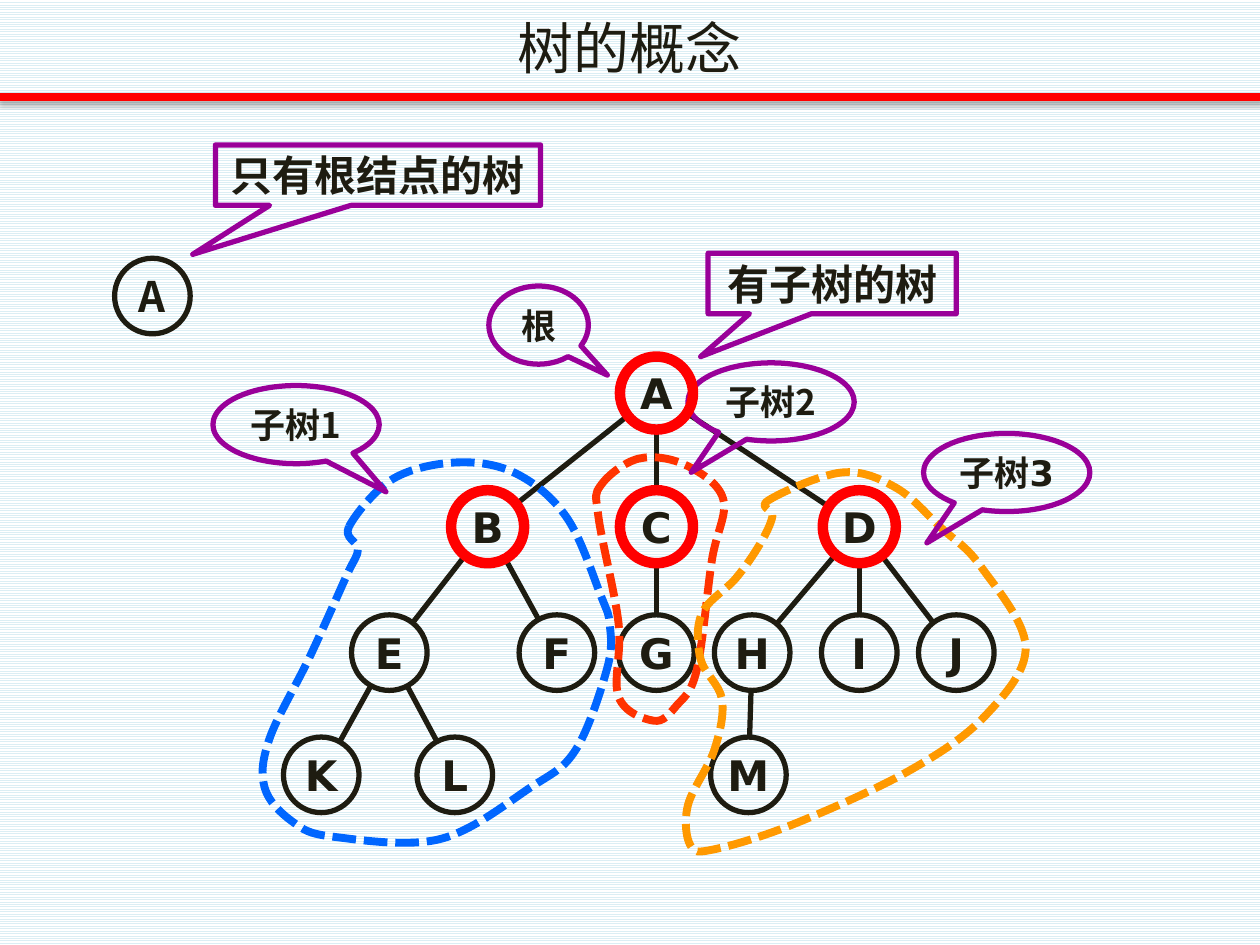
"""Builds a slide that explains the concept of a tree with its root and subtrees."""
from dataclasses import dataclass
from math import hypot

from lxml import etree
from pptx import Presentation
from pptx import util as u
from pptx.dml.color import RGBColor
from pptx.enum import dml, shapes, text
from pptx.oxml import parse_xml
from pptx.oxml.ns import nsdecls, qn


@dataclass(frozen=True)
class Theme:
    ink: str = "1E1C11"
    red: str = "FF0000"
    purple: str = "990099"
    blue: str = "0066FF"
    vermilion: str = "FF3300"
    orange: str = "FF9900"
    stripe: str = "DBEEF4"
    paper: str = "FFFFFF"
    cjk: str = "Noto Sans CJK SC"
    latin: str = "DejaVu Sans"
    title: int = 32
    label: int = 24
    note: int = 20
    thin: float = 3
    medium: float = 4.5
    thick: float = 6


theme = Theme()


def write(shape, words, size=theme.label, font=theme.latin, bold=True):
    frame = shape.text_frame
    frame.word_wrap = False
    frame.vertical_anchor = text.MSO_ANCHOR.MIDDLE
    paragraph = frame.paragraphs[0]
    paragraph.alignment = text.PP_ALIGN.CENTER
    run = paragraph.add_run()
    run.text = words
    run.font.size, run.font.bold, run.font.name = u.Pt(size), bold, font
    run.font.color.rgb = RGBColor.from_string(theme.ink)
    etree.SubElement(run.font._element, qn("a:ea"), typeface=font)


def outline(shape, color, width):
    shape.fill.background()
    shape.line.color.rgb = RGBColor.from_string(color)
    shape.line.width = u.Pt(width)
    shape.shadow.inherit = False
    return shape


deck = Presentation()
deck.slide_width, deck.slide_height = u.Inches(10), u.Inches(7.5)
slide = deck.slides.add_slide(deck.slide_layouts[6])
canvas = slide.shapes
backdrop = slide.background.fill
backdrop.patterned()
backdrop.pattern = dml.MSO_PATTERN.LIGHT_HORIZONTAL
backdrop.fore_color.rgb = RGBColor.from_string(theme.stripe)
backdrop.back_color.rgb = RGBColor.from_string(theme.paper)

title = canvas.add_textbox(u.Inches(0), u.Inches(0.05), u.Inches(10), u.Inches(0.65))
write(title, "树的概念", size=theme.title, font=theme.cjk, bold=False)

diameter = 0.6
levels = [
    (2.82, {"A": 4.91}),
    (3.88, {"B": 3.57, "C": 4.91, "D": 6.52}),
    (4.88, {"E": 2.79, "F": 4.12, "G": 4.91, "H": 5.67, "I": 6.52, "J": 7.29}),
    (5.85, {"K": 2.25, "L": 3.31, "M": 5.64}),
]
corners = {name: (left, top) for top, row in levels for name, left in row.items()}
children = {"A": "BCD", "B": "EF", "C": "G", "D": "HIJ", "E": "KL", "H": "M"}

rule_shadow = (
    '<a:outerShdw blurRad="39370" dist="22860" dir="5400000" rotWithShape="0">'
    '<a:srgbClr val="000000"><a:alpha val="35000"/></a:srgbClr></a:outerShdw>'
)
strokes = [((-0.01, 0.77, 10.01, 0.77), theme.red, theme.medium, rule_shadow)]
radius = diameter / 2
for parent, names in children.items():
    for child in names:
        x1, y1, x2, y2 = (value + radius for value in corners[parent] + corners[child])
        share = radius / hypot(x2 - x1, y2 - y1)
        dx, dy = (x2 - x1) * share, (y2 - y1) * share
        strokes.append(((x1 + dx, y1 + dy, x2 - dx, y2 - dy), theme.ink, theme.thin, ""))
for ends, color, width, effect in strokes:
    line = canvas.add_connector(shapes.MSO_CONNECTOR.STRAIGHT, *map(u.Inches, ends))
    line.line.color.rgb = RGBColor.from_string(color)
    line.line.width = u.Pt(width)
    effects = parse_xml(f"<a:effectLst {nsdecls('a')}>{effect}</a:effectLst>")
    line.element.spPr.append(effects)

nodes = [("A", (0.91, 2.05), theme.cjk)]
nodes += [(name, corner, theme.latin) for name, corner in corners.items()]
for name, corner, font in nodes:
    node = canvas.add_shape(shapes.MSO_SHAPE.OVAL, *map(u.Inches, corner),
                            u.Inches(diameter), u.Inches(diameter))
    write(outline(node, theme.ink, theme.thin), name, font=font)

subtrees = {
    theme.blue: [
        (2.77, 4.18), (3.12, 3.8), (3.63, 3.67), (4.1, 3.76), (4.5, 4.11), (4.77, 4.73),
        (4.84, 4.96), (4.82, 5.3), (4.57, 5.95), (4.21, 6.25), (3.49, 6.66), (2.64, 6.64),
        (2.32, 6.52), (2.1, 6.25), (2.14, 5.86), (2.46, 5.21), (2.75, 4.57), (2.84, 4.36)],
    theme.vermilion: [
        (4.77, 3.85), (5.07, 3.64), (5.44, 3.69), (5.74, 3.96), (5.65, 4.45), (5.53, 5.32),
        (5.37, 5.6), (5.19, 5.72), (4.91, 5.53), (4.91, 4.95), (4.75, 4.1)],
    theme.orange: [
        (6.1, 3.97), (6.68, 3.75), (7.11, 3.87), (7.47, 4.19), (7.78, 4.49), (8.14, 5.13),
        (7.82, 5.68), (7.21, 6.12), (6.3, 6.54), (5.67, 6.74), (5.48, 6.71), (5.46, 6.39),
        (5.67, 5.95), (5.73, 5.55), (5.56, 5.23), (5.57, 4.87), (5.84, 4.59), (6.03, 4.32),
        (6.13, 4.1)],
}
for color, anchors in subtrees.items():
    controls = []
    for i, (x1, y1) in enumerate(anchors):
        x0, y0 = anchors[i - 1]
        x2, y2 = anchors[(i + 1) % len(anchors)]
        x3, y3 = anchors[(i + 2) % len(anchors)]
        controls += [(x1 + (x2 - x0) / 6, y1 + (y2 - y0) / 6),
                     (x2 - (x3 - x1) / 6, y2 - (y3 - y1) / 6), (x2, y2)]
    builder = canvas.build_freeform(*map(u.Inches, anchors[0]))
    builder.add_line_segments([(u.Inches(x), u.Inches(y)) for x, y in controls], close=True)
    boundary = outline(builder.convert_to_shape(), color, theme.medium)
    boundary.line.dash_style = dml.MSO_LINE.SQUARE_DOT
    segments = list(boundary.element.iter(qn("a:lnTo")))
    for first in range(0, len(anchors) * 3, 3):
        curve = etree.Element(qn("a:cubicBezTo"))
        segments[first].addprevious(curve)
        for segment in segments[first:first + 3]:
            curve.append(segment[0])
            segment.getparent().remove(segment)

box = shapes.MSO_SHAPE.RECTANGULAR_CALLOUT
bubble = shapes.MSO_SHAPE.OVAL_CALLOUT
callouts = [
    (box, "只有根结点的树", (1.71, 1.15, 2.58, 0.48), (-0.57, 1.31), theme.label, theme.cjk),
    (box, "有子树的树", (5.62, 2.01, 1.97, 0.48), (-0.53, 1.21), theme.label, theme.latin),
    (bubble, "根", (3.88, 2.27, 0.79, 0.62), (0.69, 0.64), theme.note, theme.cjk),
    (bubble, "子树1", (1.69, 3.06, 1.32, 0.62), (0.54, 0.86), theme.note, theme.cjk),
    (bubble, "子树3", (7.33, 3.44, 1.32, 0.62), (-0.48, 0.9), theme.note, theme.latin),
    (bubble, "子树2", (5.46, 2.88, 1.32, 0.62), (-0.48, 0.9), theme.note, theme.cjk),
]
for kind, words, place, tip, size, font in callouts:
    callout = canvas.add_shape(kind, *map(u.Inches, place))
    callout.adjustments[0], callout.adjustments[1] = tip
    write(outline(callout, theme.purple, theme.thin), words, size=size, font=font)

inset = 0.01
for name in "ABCD":
    left, top = corners[name]
    ring = canvas.add_shape(shapes.MSO_SHAPE.OVAL, u.Inches(left + inset), u.Inches(top + inset),
                            u.Inches(diameter - 2 * inset), u.Inches(diameter - 2 * inset))
    outline(ring, theme.red, theme.thick)

deck.save("out.pptx")
